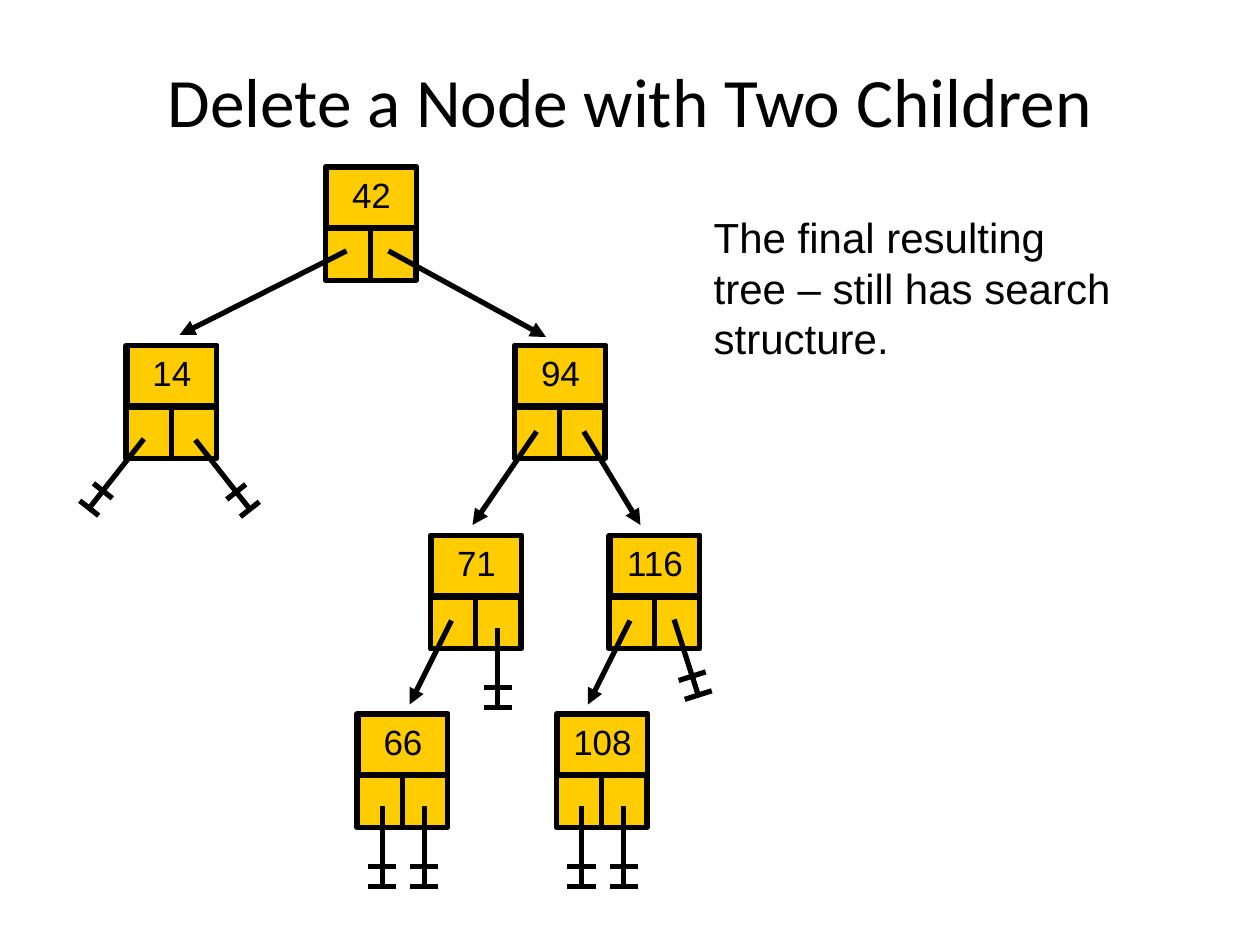
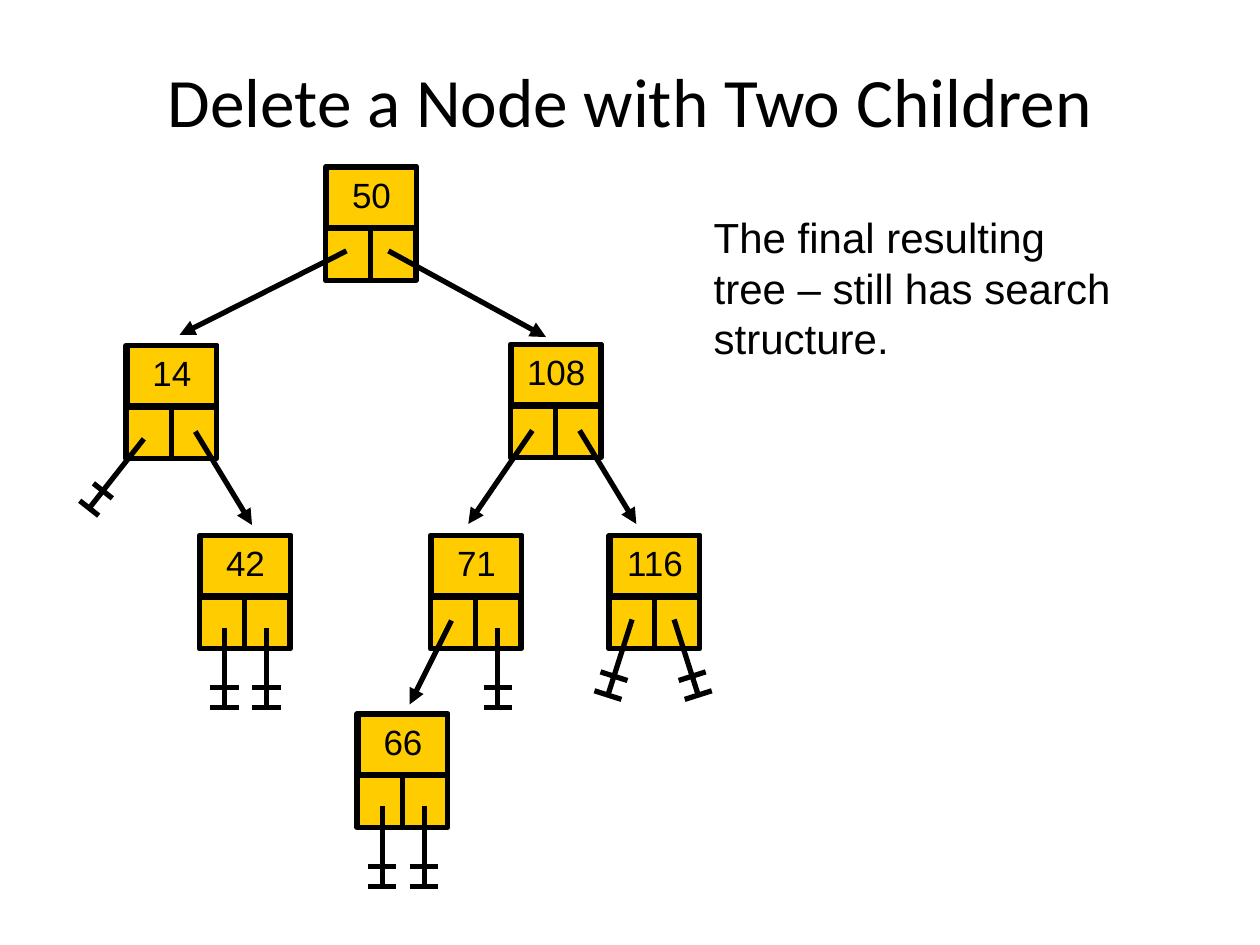
import dataclasses
import math

import lxml.etree
import pptx
import pptx.dml.color
import pptx.enum.shapes
import pptx.enum.text
import pptx.oxml.ns
import pptx.util

COLUMNS, ROWS = 120, 90
SLIDE_WIDTH, SLIDE_HEIGHT = pptx.util.Inches(10), pptx.util.Inches(7.5)


@dataclasses.dataclass(frozen=True)
class Theme:
    """Colours, fonts and type sizes used on every slide."""
    ink: pptx.dml.color.RGBColor = pptx.dml.color.RGBColor(0, 0, 0)
    node_fill: pptx.dml.color.RGBColor = pptx.dml.color.RGBColor(0xFF, 0xCC, 0)
    title_font: str = "Calibri"
    body_font: str = "Arial"
    title_size: float = 39.6
    remark_size: float = 24
    key_size: float = 20
    line_width: float = 3


@dataclasses.dataclass(frozen=True)
class Link:
    """A child pointer, in grid cells from its node's top left corner."""
    start: tuple
    end: tuple
    bar: float = 0


@dataclasses.dataclass(frozen=True)
class Node:
    """A tree node at a grid cell with its two child pointers."""
    key: int
    column: float
    row: float
    left: Link
    right: Link


THEME = Theme()
NODE_WIDTH, KEY_HEIGHT, POINTER_HEIGHT = 8.64, 5.88, 4.92
LABEL_WIDTH, LABEL_HEIGHT = 8.52, 5.76
INNER_BAR_SHARE = 0.75

ROOT_LEFT = Link((2, 8), (-13.9, 16))
ROOT_RIGHT = Link((6, 8), (21, 16.2))
CHILD_LEFT = Link((2.1, 8.2), (-4, 17.1))
CHILD_RIGHT = Link((6.6, 8.2), (12, 17.1))
SHORT_LEFT = Link((2, 8.1), (-2, 16.1))
NULL_LEFT = Link((2.4, 8.8), (2.4, 16.4), 2.7)
NULL_RIGHT = Link((6.4, 8.8), (6.4, 16.4), 2.7)
SLANTED_NULL_LEFT = Link((2.2, 8), (-0.1, 15.2), 2.7)
SLANTED_NULL_RIGHT = Link((6.2, 8), (8.5, 15.2), 2.7)
WIDE_NULL_LEFT = Link((1.7, 8.9), (-3.5, 15.5), 2.3)
WIDE_NULL_RIGHT = Link((6.6, 9), (11.8, 15.6), 2.3)

NODE_71 = Node(71, 41, 51, SHORT_LEFT, NULL_RIGHT)
NODE_66 = Node(66, 34, 68, NULL_LEFT, NULL_RIGHT)

TREES = (
    (
        Node(14, 12, 32.9, WIDE_NULL_LEFT, WIDE_NULL_RIGHT),
        Node(42, 31, 15.9, ROOT_LEFT, ROOT_RIGHT),
        Node(94, 49, 32.9, CHILD_LEFT, CHILD_RIGHT),
        NODE_71,
        Node(116, 58, 51, SHORT_LEFT, SLANTED_NULL_RIGHT),
        Node(108, 53, 68, NULL_LEFT, NULL_RIGHT),
        NODE_66,
    ),
    (
        Node(14, 12, 32.9, WIDE_NULL_LEFT, CHILD_RIGHT),
        Node(50, 31, 15.9, ROOT_LEFT, ROOT_RIGHT),
        NODE_71,
        Node(116, 58, 51, SLANTED_NULL_LEFT, SLANTED_NULL_RIGHT),
        NODE_66,
        Node(42, 19, 51, NULL_LEFT, NULL_RIGHT),
        Node(108, 48.6, 32.8, CHILD_LEFT, CHILD_RIGHT),
    ),
)


def grid(*cells):
    """Turn alternating columns and rows into slide lengths."""
    units = (SLIDE_WIDTH / COLUMNS, SLIDE_HEIGHT / ROWS)
    return [round(cell * units[index % 2]) for index, cell in enumerate(cells)]


def format_runs(text_frame, font_name, size):
    """Apply one font, size and the ink colour to all runs."""
    for paragraph in text_frame.paragraphs:
        for run in paragraph.runs:
            run.font.name = font_name
            run.font.size = pptx.util.Pt(size)
            run.font.color.rgb = THEME.ink


def style_line(line):
    """Give an outline or connector the common stroke."""
    line.color.rgb = THEME.ink
    line.width = pptx.util.Pt(THEME.line_width)


def add_cell(shapes, *box):
    """Add one filled rectangle of a node."""
    cell = shapes.add_shape(pptx.enum.shapes.MSO_SHAPE.RECTANGLE, *grid(*box))
    cell.shadow.inherit = False
    cell.fill.solid()
    cell.fill.fore_color.rgb = THEME.node_fill
    style_line(cell.line)
    return cell


def add_line(shapes, start, end, arrow=False):
    """Add a straight line, with an arrowhead at its end if asked."""
    connector = shapes.add_connector(
        pptx.enum.shapes.MSO_CONNECTOR.STRAIGHT, *grid(*start, *end))
    style_line(connector.line)
    properties = connector._element.spPr
    if arrow:
        outline = properties.find(pptx.oxml.ns.qn("a:ln"))
        lxml.etree.SubElement(
            outline, pptx.oxml.ns.qn("a:tailEnd"), type="triangle")
    lxml.etree.SubElement(properties, pptx.oxml.ns.qn("a:effectLst"))


def add_node(slide, node):
    """Draw the key cell and two pointer cells of a node."""
    shapes = slide.shapes.add_group_shape().shapes
    add_cell(shapes, node.column, node.row, NODE_WIDTH, KEY_HEIGHT)
    for side in range(2):
        add_cell(shapes, node.column + side * NODE_WIDTH / 2,
                 node.row + KEY_HEIGHT, NODE_WIDTH / 2, POINTER_HEIGHT)
    label = add_cell(shapes, node.column + NODE_WIDTH - LABEL_WIDTH, node.row,
                     LABEL_WIDTH, LABEL_HEIGHT)
    text_frame = label.text_frame
    text_frame.text = str(node.key)
    text_frame.word_wrap = True
    text_frame.vertical_anchor = pptx.enum.text.MSO_ANCHOR.TOP
    text_frame.paragraphs[0].alignment = pptx.enum.text.PP_ALIGN.CENTER
    format_runs(text_frame, THEME.body_font, THEME.key_size)


def add_null(slide, start, end, bar):
    """Draw a stem closed by two perpendicular bars."""
    shapes = slide.shapes.add_group_shape().shapes
    add_line(shapes, start, end)
    run, rise = end[0] - start[0], end[1] - start[1]
    scale = bar / 2 / math.hypot(run, rise)
    across, down = rise * scale, -run * scale
    for share in (INNER_BAR_SHARE, 1):
        x, y = start[0] + run * share, start[1] + rise * share
        add_line(shapes, (x - across, y - down), (x + across, y + down))


def add_link(slide, node, link):
    """Draw a pointer as an arrow to a child or as a null mark."""
    start, end = ((node.column + x, node.row + y)
                  for x, y in (link.start, link.end))
    if link.bar:
        add_null(slide, start, end, link.bar)
    else:
        add_line(slide.shapes, start, end, arrow=True)


def add_tree(slide, nodes):
    """Draw all nodes, then their pointers on top."""
    for node in nodes:
        add_node(slide, node)
    for node in nodes:
        for link in (node.left, node.right):
            add_link(slide, node, link)


def add_title(slide, text, *box):
    """Fill and place the title placeholder."""
    title = slide.shapes.title
    title.left, title.top, title.width, title.height = grid(*box)
    text_frame = title.text_frame
    text_frame.text = text
    text_frame.auto_size = pptx.enum.text.MSO_AUTO_SIZE.NONE
    text_frame.vertical_anchor = pptx.enum.text.MSO_ANCHOR.MIDDLE
    text_frame.paragraphs[0].alignment = pptx.enum.text.PP_ALIGN.CENTER
    format_runs(text_frame, THEME.title_font, THEME.title_size)


def add_remark(slide, text, *box):
    """Add the remark beside the tree."""
    text_frame = slide.shapes.add_textbox(*grid(*box)).text_frame
    text_frame.word_wrap = False
    text_frame.paragraphs[0].text = text
    format_runs(text_frame, THEME.body_font, THEME.remark_size)


def add_tree_slide(presentation, nodes):
    """Build one slide with title, tree and remark."""
    slide = presentation.slides.add_slide(presentation.slide_layouts[5])
    add_title(slide, "Delete a Node with Two Children", 9, 5, 102, 9)
    add_tree(slide, nodes)
    add_remark(slide, "The final resulting\vtree – still has search\vstructure.",
               66.8, 19.6, 43, 15.6)


def main():
    """Build and save the presentation."""
    presentation = pptx.Presentation()
    presentation.slide_width = SLIDE_WIDTH
    presentation.slide_height = SLIDE_HEIGHT
    for nodes in TREES:
        add_tree_slide(presentation, nodes)
    presentation.save("out.pptx")


if __name__ == "__main__":
    main()
